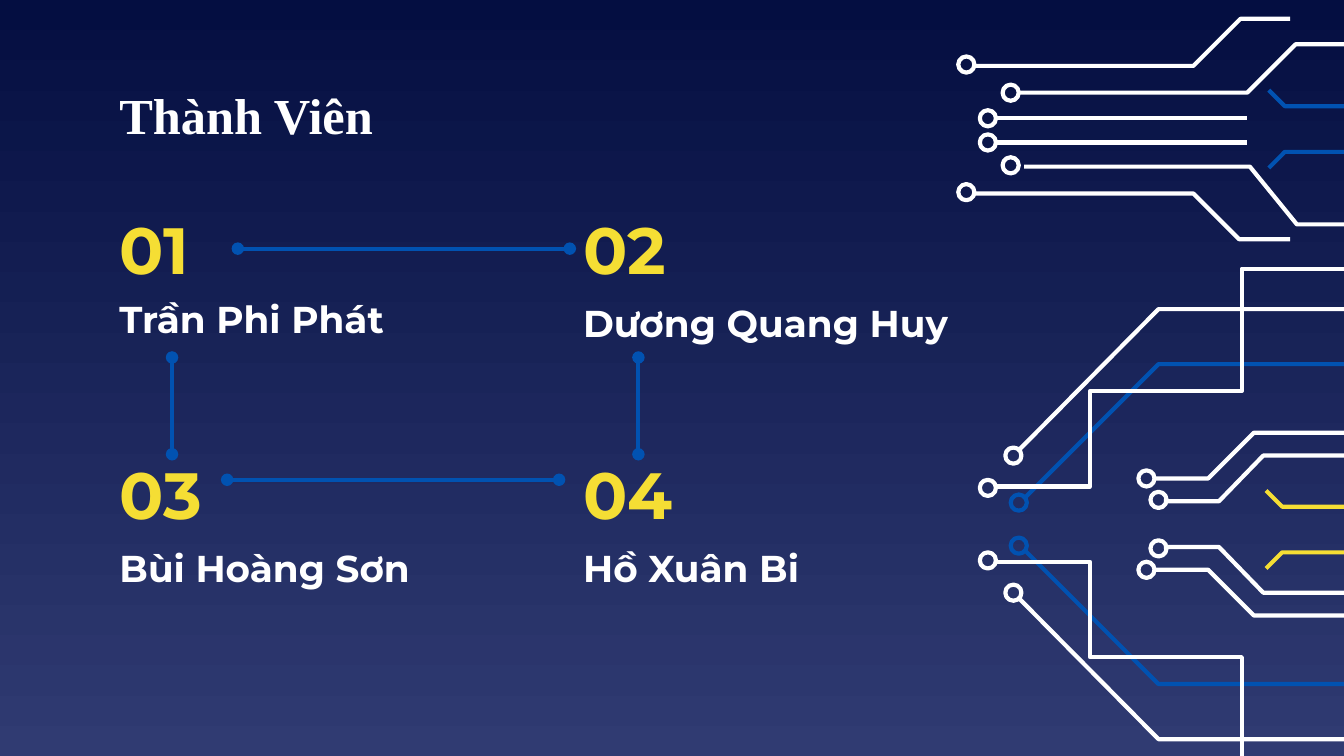
import pptx
import pptx.dml.color
import pptx.enum.shapes
import pptx.enum.text
import pptx.oxml.ns
import pptx.util
import lxml.etree

Inches = pptx.util.Inches
RGBColor = pptx.dml.color.RGBColor
qn = pptx.oxml.ns.qn

NAVY = RGBColor(0x04, 0x0E, 0x41)
INDIGO = RGBColor(0x30, 0x3B, 0x72)
WHITE = RGBColor(0xFF, 0xFF, 0xFF)
BLUE = RGBColor(0x01, 0x52, 0xB1)
YELLOW = RGBColor(0xF5, 0xDE, 0x34)

WIDTH = 10
HEIGHT = WIDTH * 9 / 16
EDGE = 10.2
STROKE = 2.25
NODE = 0.12
COLUMNS = (0.79, 4.24)
ROWS = (1.56, 3.38)
NUMBER_H, NAME_H = 0.58, 0.52

MEMBERS = [
    ("01", "Trần Phi Phát", 0, 0, 2.41, -0.03),
    ("02", "Dương Quang Huy", 1, 0, 3.46, 0),
    ("03", "Bùi Hoàng Sơn", 0, 1, 2.41, 0),
    ("04", "Hồ Xuân Bi", 1, 1, 2.41, 0),
]
LINKS = [
    ((1.77, 1.85), (4.24, 1.85)),
    ((1.69, 3.57), (4.16, 3.57)),
    ((1.28, 2.66), (1.28, 3.38)),
    ((4.75, 2.66), (4.75, 3.38)),
]
MIRRORED_WIRES = [
    (3.9, BLUE, (7.58, 3.74), [(7.62, 3.71), (8.62, 2.71), (EDGE, 2.71)]),
    (3.9, WHITE, (7.35, 3.63), [(7.41, 3.62), (8.11, 3.62), (8.11, 2.91),
                                (9.24, 2.91), (9.24, 2), (EDGE, 2)]),
    (3.9, WHITE, (7.54, 3.39), [(7.58, 3.35), (8.62, 2.3), (EDGE, 2.3)]),
    (3.9, WHITE, (8.62, 3.72), [(8.66, 3.73), (9.07, 3.73), (9.4, 3.39), (EDGE, 3.39)]),
    (3.9, WHITE, (8.53, 3.56), [(8.58, 3.56), (8.99, 3.56), (9.33, 3.22), (EDGE, 3.22)]),
    (3.94, YELLOW, None, [(9.42, 3.65), (9.54, 3.77), (10.11, 3.77)]),
    (0.96, BLUE, None, [(9.44, 0.67), (9.56, 0.79), (10.13, 0.79)]),
]
TOP_WIRES = [
    ((7.19, 0.48), [(7.24, 0.49), (8.88, 0.49), (9.23, 0.14), (9.6, 0.14)]),
    ((7.52, 0.69), [(7.58, 0.69), (9.28, 0.69), (9.64, 0.33), (10.25, 0.33)]),
    ((7.35, 0.88), [(7.41, 0.88), (9.28, 0.88)]),
    ((7.35, 1.06), [(7.41, 1.06), (9.28, 1.06)]),
    ((7.52, 1.23), [(7.62, 1.24), (9.3, 1.24), (9.65, 1.67), (10.25, 1.67)]),
    ((7.19, 1.43), [(7.24, 1.44), (8.88, 1.44), (9.22, 1.78), (9.6, 1.78)]),
]


def set_background(s):
    fill = s.background.fill
    fill.gradient()
    fill.gradient_angle = 270
    for stop, color in zip(fill.gradient_stops, (NAVY, INDIGO)):
        stop.color.rgb = color


def add_text(s, text, *, x, y, w, h, size, color=WHITE, font="Montserrat"):
    sp = s.shapes.add_textbox(Inches(x), Inches(y), Inches(w), Inches(h))
    tf = sp.text_frame
    tf.word_wrap = True
    tf.vertical_anchor = pptx.enum.text.MSO_ANCHOR.MIDDLE
    tf.margin_left = tf.margin_right = tf.margin_top = tf.margin_bottom = Inches(0.1)
    r = tf.paragraphs[0].add_run()
    r.text = text
    r.font.name = font
    r.font.size = pptx.util.Pt(size)
    r.font.bold = True
    r.font.color.rgb = color


def style_outline(sp, color):
    sp.shadow.inherit = False
    sp.fill.background()
    sp.line.color.rgb = color
    sp.line.width = pptx.util.Pt(STROKE)


def add_line(s, start, end, color, ends=None):
    ln = s.shapes.add_connector(
        pptx.enum.shapes.MSO_CONNECTOR.STRAIGHT, *map(Inches, start + end))
    ln.line.color.rgb = color
    ln.line.width = pptx.util.Pt(STROKE)
    if ends:
        for tag in ("a:headEnd", "a:tailEnd"):
            lxml.etree.SubElement(ln.line._get_or_add_ln(), qn(tag), type=ends)
    lxml.etree.SubElement(ln._element.spPr, qn("a:effectLst"))


def add_wire(s, points, color):
    if len(points) == 2:
        add_line(s, *points, color)
        return
    start, *rest = [(Inches(x), Inches(y)) for x, y in points]
    fb = s.shapes.build_freeform(*start)
    fb.add_line_segments(rest, close=False)
    style_outline(fb.convert_to_shape(), color)


def add_node(s, center, color):
    x, y = center
    sp = s.shapes.add_shape(
        pptx.enum.shapes.MSO_SHAPE.OVAL, Inches(x - NODE / 2),
        Inches(y - NODE / 2), Inches(NODE), Inches(NODE))
    style_outline(sp, color)


def mirror(point, axis):
    x, y = point
    return x, 2 * axis - y


def add_circuit(s):
    for axis, color, node, points in MIRRORED_WIRES:
        add_wire(s, points, color)
        add_wire(s, [mirror(pt, axis) for pt in points], color)
        if node:
            add_node(s, node, color)
            add_node(s, mirror(node, axis), color)
    for node, points in TOP_WIRES:
        add_wire(s, points, WHITE)
        add_node(s, node, WHITE)


def add_member(s, number, name, col, row, name_w, name_shift):
    x, y = COLUMNS[col], ROWS[row]
    add_text(s, name, x=x, y=y + NUMBER_H + name_shift, w=name_w, h=NAME_H, size=20)
    add_text(s, number, x=x, y=y, w=0.99, h=NUMBER_H, size=35, color=YELLOW)


def main():
    prs = pptx.Presentation()
    prs.slide_width, prs.slide_height = Inches(WIDTH), Inches(HEIGHT)
    s = prs.slides.add_slide(prs.slide_layouts[6])
    set_background(s)
    add_circuit(s)
    add_text(s, "Thành Viên", x=COLUMNS[0], y=0.59, w=5.87, h=NAME_H,
             size=27, font="Times New Roman")
    for member in MEMBERS:
        add_member(s, *member)
    for start, end in LINKS:
        add_line(s, start, end, BLUE, ends="oval")
    prs.save("out.pptx")


if __name__ == "__main__":
    main()
